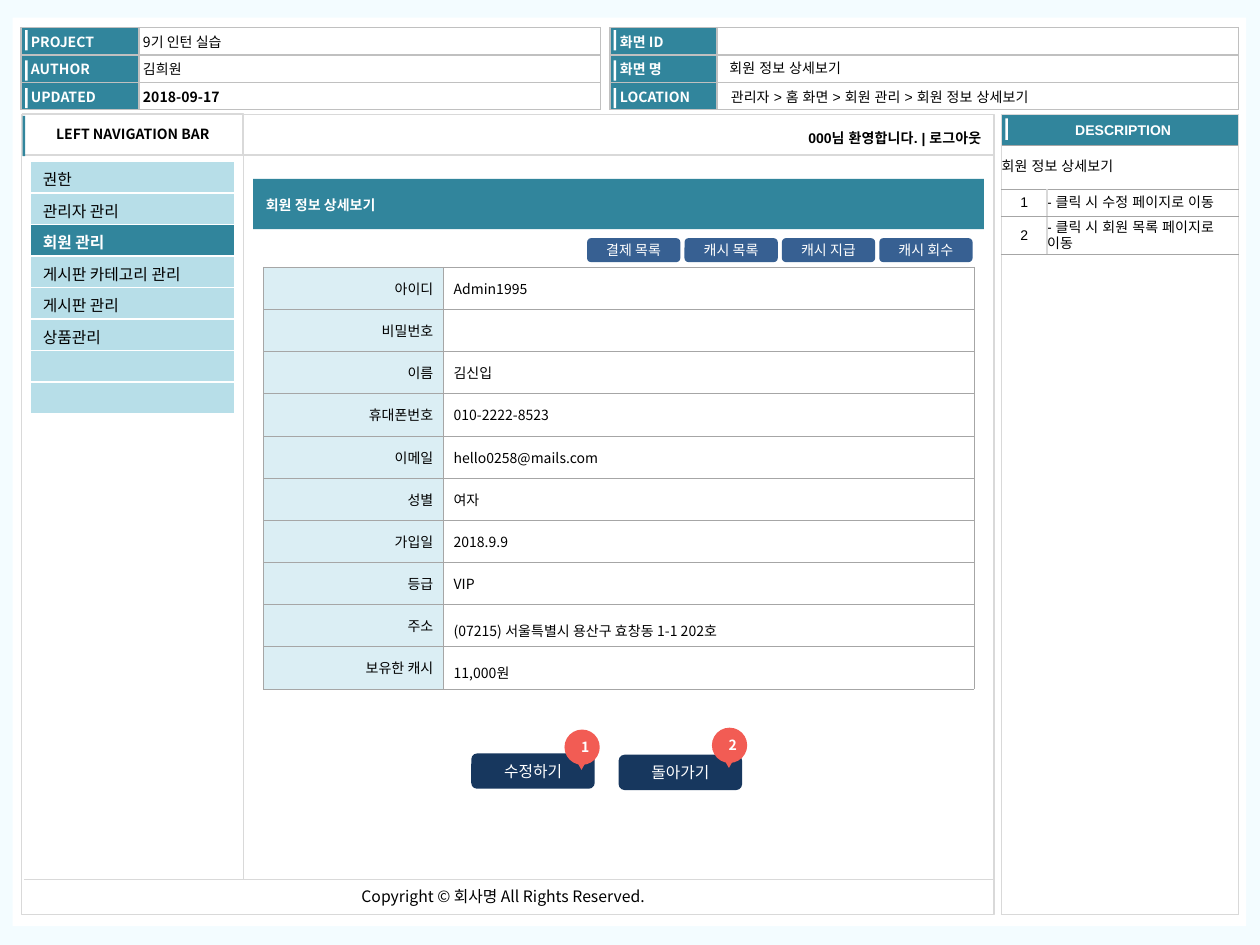
from dataclasses import dataclass, replace
from typing import NamedTuple, Optional

from lxml import etree
from pptx import Presentation
from pptx import util as u
from pptx.dml.color import RGBColor
from pptx.enum import shapes, text
from pptx.oxml import ns

COLS, ROWS = 100, 75  # page grid, all boxes are given in its units
HUES = {
    "page": "F3FCFF", "white": "FFFFFF", "black": "000000", "teal": "31859C",
    "sky": "B7DEE8", "pale": "DBEEF4", "navy": "17375E", "blue": "376092",
    "red": "F25C54", "rule": "D9D9D9", "frame": "C0C0C0", "gray": "A6A6A6",
}
NOTO, ARIAL = "Noto Sans CJK KR", "Arial"
LEFT, MID, RIGHT = text.PP_ALIGN.LEFT, text.PP_ALIGN.CENTER, text.PP_ALIGN.RIGHT
KIND = shapes.MSO_SHAPE


class Box(NamedTuple):
    x: float
    y: float
    w: float
    h: float


@dataclass(frozen=True)
class Style:
    size: float = 8
    face: str = NOTO
    hue: str = "black"
    bold: bool = False
    align: int = LEFT
    inset: tuple = (0.1, 0.05, 0.1, 0.05)
    top: bool = False
    lead: Optional[float] = None


@dataclass(frozen=True)
class Cell:
    words: str
    style: Style
    fill: Optional[str] = "white"


class Edge(NamedTuple):
    """Hue and points of the side borders, then of the top and bottom ones."""
    side: tuple
    flat: tuple


deck = Presentation()
deck.slide_width, deck.slide_height = u.Inches(10), u.Inches(7.5)
UNIT = deck.slide_width // COLS
slide = deck.slides.add_slide(deck.slide_layouts[5])


def rgb(name: str) -> RGBColor:
    return RGBColor.from_string(HUES[name])


def span(*sizes: float) -> list:
    return [u.Emu(round(size * UNIT)) for size in sizes]


def write(frame, words: str, style: Style) -> None:
    para = frame.paragraphs[0]
    para.text = words
    para.alignment = style.align
    if style.lead:
        para.line_spacing = style.lead
    font = para.font
    font.size, font.name, font.bold = u.Pt(style.size), style.face, style.bold
    font.color.rgb = rgb(style.hue)
    props = para._p.pPr.find(ns.qn("a:defRPr"))
    etree.SubElement(props, ns.qn("a:ea"), typeface=style.face)
    if not words:
        etree.SubElement(para._p, ns.qn("a:endParaRPr"), sz=str(int(style.size * 100)))


def pad(item, inset: tuple) -> None:
    (item.margin_left, item.margin_top,
     item.margin_right, item.margin_bottom) = map(u.Inches, inset)


def fit(frame, words: str, style: Style) -> None:
    frame.word_wrap = True
    frame.auto_size = text.MSO_AUTO_SIZE.NONE
    frame.vertical_anchor = text.MSO_ANCHOR.TOP if style.top else text.MSO_ANCHOR.MIDDLE
    pad(frame, style.inset)
    write(frame, words, style)


def shape(box: Box, fill: Optional[str] = None, kind=KIND.RECTANGLE,
          line: Optional[str] = None, words: str = "", style: Style = Style()):
    item = slide.shapes.add_shape(kind, *span(*box))
    item.shadow.inherit = False
    if fill:
        item.fill.solid()
        item.fill.fore_color.rgb = rgb(fill)
    else:
        item.fill.background()
    if line:
        item.line.color.rgb, item.line.width = rgb(line), u.Pt(0.75)
    else:
        item.line.fill.background()
    if words:
        fit(item.text_frame, words, style)
    return item


def label(box: Box, words: str, style: Style):
    item = slide.shapes.add_textbox(*span(*box))
    fit(item.text_frame, words, style)
    return item


def rule(x: float, y: float, end: tuple, width: float) -> None:
    item = slide.shapes.add_connector(shapes.MSO_CONNECTOR.STRAIGHT, *span(x, y, *end))
    item.line.color.rgb, item.line.width = rgb("rule"), u.Pt(width)
    etree.SubElement(item._element.spPr, ns.qn("a:effectLst"))


def border(cell, edge: Edge) -> None:
    props = cell._tc.get_or_add_tcPr()
    pairs = zip("LRTB", (edge.side, edge.side, edge.flat, edge.flat))
    for spot, (side, (hue, width)) in enumerate(pairs):
        line = etree.Element(ns.qn(f"a:ln{side}"), w=str(u.Pt(width)))
        fill = etree.SubElement(line, ns.qn("a:solidFill"))
        etree.SubElement(fill, ns.qn("a:srgbClr"), val=HUES[hue])
        props.insert(spot, line)


def table(x: float, y: float, cols: list, rows: list, cells: list, edge: Edge):
    item = slide.shapes.add_table(len(rows), len(cols), *span(x, y, sum(cols), sum(rows)))
    grid = item.table
    grid.first_row = grid.horz_banding = False
    for col, size in zip(grid.columns, span(*cols)):
        col.width = size
    for row, size, line in zip(grid.rows, span(*rows), cells):
        row.height = size
        for cell, data in zip(row.cells, line):
            style = data.style
            pad(cell, style.inset)
            cell.vertical_anchor = (text.MSO_ANCHOR.TOP if style.top
                                    else text.MSO_ANCHOR.MIDDLE)
            write(cell.text_frame, data.words, style)
            if data.fill:
                cell.fill.solid()
                cell.fill.fore_color.rgb = rgb(data.fill)
            else:
                cell.fill.background()
            border(cell, edge)
    return grid


slide.background.fill.solid()
slide.background.fill.fore_color.rgb = rgb("page")
shape(Box(1, 1.4, 97.9, 72.1), "white")

# Page facts
plain = Style(inset=(0.03, 0, 0.03, 0))
head = Style(hue="white", bold=True, inset=(0.08, 0, 0.03, 0))
frame = Edge(("frame", 1), ("frame", 1))
facts = [("PROJECT", "9기 인턴 실습"), ("AUTHOR", "김희원"), ("UPDATED", "2018-09-17")]
places = [("화면 ID", ""), ("화면 명", ""), ("LOCATION", "")]
for x, cols, pairs in ((1.65, [9.4, 36.6], facts), (48.4, [8.5, 41.4], places)):
    cells = [[Cell(key, head, "teal"), Cell(value, replace(plain, bold=key == "UPDATED"))]
             for key, value in pairs]
    table(x, 2.2, cols, [6.5 / 3] * 3, cells, frame)
for x in (2, 48.7):
    for y in (2.4, 4.8, 7):
        shape(Box(x, y, 0.2, 1.6), "white")
note = Style(face=ARIAL, inset=(0.08, 0.04, 0.08, 0.04), top=True)
label(Box(57.2, 6.6, 34.5, 2), "관리자 > 홈 화면 > 회원 관리 > 회원 정보 상세보기", note)
label(Box(57.1, 4.3, 29, 2), "회원 정보 상세보기", note)
shape(Box(1.7, 9.1, 77.2, 63.5), line="rule")

# Description panel
bare = Style(face=ARIAL, inset=(0, 0, 0, 0))
mid = replace(bare, align=MID)
top = replace(mid, hue="white", bold=True, inset=(0.05, 0, 0, 0))
table(79.5, 9.1, [18.8], [2.5, 61], [[Cell("DESCRIPTION", top, "teal")], [Cell("", bare)]],
      Edge(("rule", 1), ("rule", 1)))
shape(Box(79.8, 9.4, 0.2, 1.7), "white")
notes = ["클릭 시 수정 페이지로 이동", "클릭 시 회원 목록 페이지로 이동"]
cells = [[Cell("회원 정보 상세보기", bare), Cell("", bare)]]
cells += [[Cell(str(n), mid), Cell(f"- {words}", bare)] for n, words in enumerate(notes, 1)]
grid = table(79.5, 11.5, [3.6, 15.2], [3.5, 2.2, 3], cells, Edge(("rule", 1), ("gray", 0.5)))
grid.cell(0, 0).merge(grid.cell(0, 1))

# Page frame
rule(1.9, 69.8, (78.9, 69.8), 1)
foot = label(Box(27.7, 69.9, 25.2, 2.5), "Copyright © 회사명 All Rights Reserved.",
             Style(size=9, top=True))
foot.text_frame.word_wrap = False
shape(Box(1.8, 9, 17.5, 3.3), line="rule", words="LEFT NAVIGATION BAR",
      style=Style(bold=True, align=MID))
shape(Box(1.8, 9.2, 0.2, 3.2), "teal")
rule(19.3, 9.1, (19.3, 69.8), 0.75)
rule(19.3, 12.3, (78.9, 12.3), 1)
label(Box(52.9, 9.9, 25.8, 2.2), "000님 환영합니다. | 로그아웃",
      replace(note, bold=True, align=RIGHT))

# Heading
shape(Box(20.1, 14.2, 58, 4), "teal")
title = slide.shapes.title
title.left, title.top, title.width, title.height = span(20.1, 15.1, 51.4, 2.4)
fit(title.text_frame, "회원 정보 상세보기", Style(hue="white", bold=True))
slide.shapes._spTree.append(title._element)

# Numbered buttons
press = Style(hue="white", align=MID)
for n, (x, y, words) in enumerate([(37.4, 59.8, "수정하기"), (49.1, 59.9, "돌아가기")], 1):
    shape(Box(x, y, 9.8, 2.8), "navy", KIND.ROUNDED_RECTANGLE, words=words,
          style=replace(press, size=9))
    rise = 57.9 - (n - 1) * 0.15
    shape(Box(x + 7.4, rise, 2.8, 2.8), "red", KIND.OVAL, words=str(n),
          style=replace(press, bold=True, inset=(0.05, 0, 0, 0)))
    shape(Box(x + 8.3, rise + 2.4, 0.9, 0.8), "red", KIND.ISOSCELES_TRIANGLE).rotation = 180

# Navigation
menu = ["권한", "관리자 관리", "회원 관리", "게시판 카테고리 관리", "게시판 관리", "상품관리", "", ""]
item = Style(size=9, inset=(0.1, 0.05, 0.1, 0), top=True)
chosen = replace(item, hue="white", bold=True)
cells = [[Cell(words, chosen, "teal") if words == "회원 관리" else Cell(words, item, "sky")]
         for words in menu]
table(2.4, 12.8, [16.2], [2.5] * len(menu), cells, Edge(("white", 1), ("white", 1)))

# Member record
record = [("아이디", "Admin1995"), ("비밀번호", ""), ("이름", "김신입"),
          ("휴대폰번호", "010-2222-8523"), ("이메일", "hello0258@mails.com"),
          ("성별", "여자"), ("가입일", "2018.9.9"), ("등급", "VIP"),
          ("주소", "(07215) 서울특별시 용산구 효창동 1-1 202호"), ("보유한 캐시", "11,000원")]
field = Style(inset=(0.08, 0.04, 0.08, 0.04))
cells = [[Cell(key, replace(field, align=RIGHT), "pale"),
          Cell(value, replace(field, lead=1.5 if key in ("주소", "보유한 캐시") else None), None)]
         for key, value in record]
table(20.9, 21.2, [14.3, 42.1], [3.35] * len(record), cells,
      Edge(("gray", 0.25), ("gray", 0.25)))
for n, words in enumerate(["결제 목록", "캐시 목록", "캐시 지급", "캐시 회수"]):
    shape(Box(46.6 + 7.73 * n, 18.9, 7.4, 1.9), "blue", KIND.ROUNDED_RECTANGLE,
          words=words, style=press)

deck.save("out.pptx")
